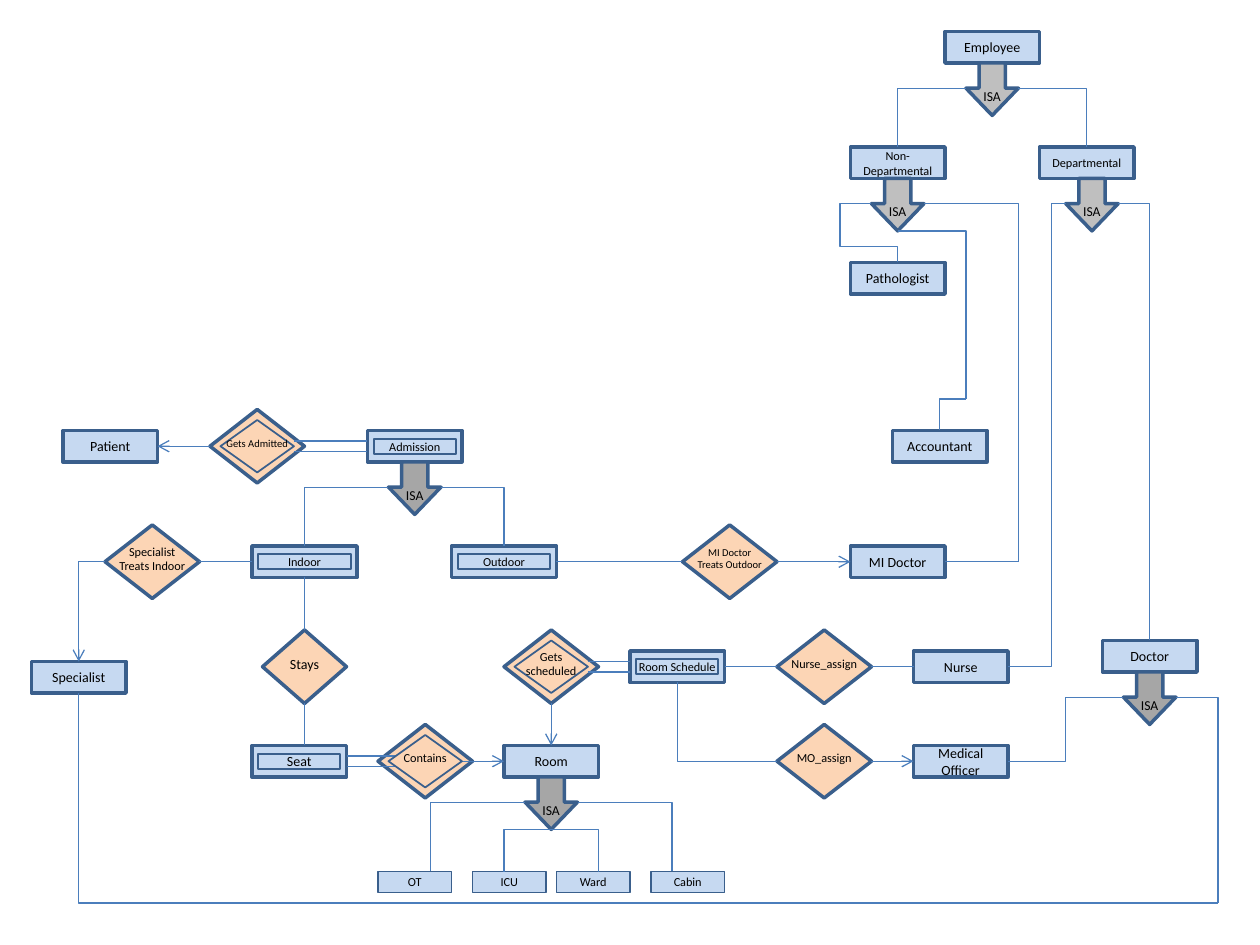
from dataclasses import dataclass

from lxml.etree import SubElement
from pptx import Presentation
from pptx.dml.color import RGBColor
from pptx.enum.shapes import MSO_CONNECTOR, MSO_SHAPE
from pptx.enum.text import MSO_ANCHOR, PP_ALIGN
from pptx.oxml.ns import qn
from pptx.util import Pt

COLORS = {
    "entity": "C6D9F1",
    "relation": "FCD5B5",
    "light_isa": "BFBFBF",
    "dark_isa": "A6A6A6",
    "outline": "3A5F8C",
    "link": "4B7EBC",
    "text": "000000",
}
FONT = "Calibri"
SHOULDER = 14.4


@dataclass(frozen=True)
class Entity:
    text: str
    left: float
    top: float
    width: float = 54
    height: float = 18
    size: float = 8
    double: bool = False
    border: float = 2
    side_inset: float = 7.2
    wrap: bool = True
    preset = MSO_SHAPE.RECTANGLE
    fill = "entity"
    inner_gap = (3.6, 4.7)
    top_inset = 3.6
    bottom_inset = 3.6


@dataclass(frozen=True)
class Relation:
    text: str
    left: float
    top: float
    width: float = 54
    height: float = 42
    size: float = 7
    double: bool = False
    border: float = 2
    side_inset: float = 7.2
    wrap: bool = False
    preset = MSO_SHAPE.DIAMOND
    fill = "relation"
    inner_gap = (6, 6)
    top_inset = 3.6
    bottom_inset = 7.2


@dataclass(frozen=True)
class Isa:
    left: float
    top: float
    fill: str = "dark_isa"


@dataclass(frozen=True)
class Link:
    start: tuple[float, float]
    end: tuple[float, float]
    arrow: bool = False
    preset: str = "line"
    bends: tuple[float, ...] = ()


def corner(start, end, arrow: bool = False) -> Link:
    return Link(start, end, arrow, "bentConnector2")


NODES = [
    Entity("Employee", 540, 18),
    Entity("Non-\nDepartmental", 486, 84, size=7, wrap=False),
    Entity("Departmental", 594, 84, size=7, side_inset=0),
    Entity("Pathologist", 486, 150),
    Entity("Accountant", 510, 246),
    Entity("Patient", 36, 246),
    Entity("Admission", 210, 246, size=7, double=True),
    Entity("Indoor", 144, 312, width=60, size=7, double=True),
    Entity("Outdoor", 258, 312, width=60, size=7, double=True),
    Entity("MI Doctor", 486, 312),
    Entity("Doctor", 630, 366),
    Entity("Specialist", 18, 378),
    Entity("Room Schedule", 360, 372, size=7, double=True, side_inset=0),
    Entity("Nurse", 522, 372),
    Entity("Seat", 144, 426, double=True),
    Entity("Room", 288, 426),
    Entity("Medical Officer", 522, 426),
    *(Entity(name, left, 498, 42, 12, size=7, border=1)
      for name, left in (("OT", 216), ("ICU", 270), ("Ward", 318), ("Cabin", 372))),
    Relation("Gets Admitted", 120, 234, size=6, double=True),
    Relation("Specialist\nTreats Indoor", 60, 300),
    Relation("MI Doctor\nTreats Outdoor", 390, 300, size=6),
    Relation("Stays", 150, 360, width=48, size=8),
    Relation("Gets\nscheduled", 288, 360, double=True),
    Relation("Nurse_assign", 444, 360),
    Relation("Contains", 216, 414, double=True),
    Relation("MO_assign", 444, 414),
]

ISAS = [
    Isa(552, 36, "light_isa"),
    Isa(498, 102, "light_isa"),
    Isa(609, 102, "light_isa"),
    Isa(222, 264),
    Isa(642, 384),
    Isa(300, 444),
]

LINKS = [
    corner((552, 36 + SHOULDER), (513, 84)),
    corner((582, 36 + SHOULDER), (621, 84)),
    Link((498, 102 + SHOULDER), (513, 150), False, "bentConnector4", (-1.2, 0.73)),
    corner((513, 132), (552, 228)),
    corner((552, 228), (537, 246)),
    corner((528, 102 + SHOULDER), (582, 321)),
    Link((582, 321), (540, 321)),
    Link((609, 102 + SHOULDER), (576, 381), False, "bentConnector3", (0.25,)),
    corner((639, 102 + SHOULDER), (657, 366)),
    Link((642, 384 + SHOULDER), (576, 435), False, "bentConnector3", (0.5,)),
    corner((672, 384 + SHOULDER), (696, 516)),
    corner((696, 516), (45, 396)),
    Link((120, 255), (90, 255), True),
    *(Link((168, y), (210, y)) for y in (252, 258)),
    corner((222, 264 + SHOULDER), (174, 312)),
    corner((252, 264 + SHOULDER), (288, 312)),
    Link((114, 321), (144, 321)),
    corner((60, 321), (45, 378), True),
    Link((318, 321), (390, 321)),
    Link((444, 321), (486, 321), True),
    Link((174, 330), (174, 360)),
    Link((174, 402), (174, 426)),
    *(Link((198, y), (228, y)) for y in (432, 438)),
    Link((264, 435), (288, 435), True),
    *(Link((336, y), (360, y)) for y in (378, 384)),
    Link((315, 402), (315, 426), True),
    Link((444, 381), (414, 381)),
    Link((498, 381), (522, 381)),
    corner((444, 435), (387, 390)),
    Link((498, 435), (522, 435), True),
    corner((300, 444 + SHOULDER), (246, 498)),
    corner((330, 444 + SHOULDER), (384, 498)),
    *(corner((315, 474), (x, 498)) for x in (288, 342)),
]


def color(name: str) -> RGBColor:
    return RGBColor.from_string(COLORS[name])


def add_box(page, preset, left, top, width, height, fill: str, border: float):
    box = page.shapes.add_shape(preset, Pt(left), Pt(top), Pt(width), Pt(height))
    box.shadow.inherit = False
    box.fill.solid()
    box.fill.fore_color.rgb = color(fill)
    box.line.color.rgb = color("outline")
    box.line.width = Pt(border)
    return box


def write(box, text: str, size: float, insets, wrap: bool, anchor=MSO_ANCHOR.MIDDLE) -> None:
    frame = box.text_frame
    frame.text = text
    frame.word_wrap = wrap
    frame.vertical_anchor = anchor
    frame.margin_left, frame.margin_top, frame.margin_right, frame.margin_bottom = map(Pt, insets)
    for para in frame.paragraphs:
        para.alignment = PP_ALIGN.CENTER
        for span in para.runs:
            span.font.name = FONT
            span.font.size = Pt(size)
            span.font.color.rgb = color("text")


def write_node(box, node: Entity | Relation) -> None:
    side = node.side_inset
    write(box, node.text, node.size, (side, node.top_inset, side, node.bottom_inset), node.wrap)


def draw_node(page, node: Entity | Relation) -> None:
    box = add_box(page, node.preset, node.left, node.top, node.width, node.height,
                  node.fill, node.border)
    if not node.double:
        write_node(box, node)


def draw_inner(page, node: Entity | Relation) -> None:
    across, down = node.inner_gap
    box = add_box(page, node.preset, node.left + across, node.top + down,
                  node.width - 2 * across, node.height - 2 * down, node.fill, 1)
    write_node(box, node)


def draw_isa(page, isa: Isa) -> None:
    box = add_box(page, MSO_SHAPE.DOWN_ARROW, isa.left, isa.top, 30, 30, isa.fill, 2)
    box.adjustments[0], box.adjustments[1] = 0.5, 0.52
    write(box, "ISA", 7.8, (0, 14, 0, 0), False, MSO_ANCHOR.TOP)


def draw_link(page, link: Link) -> None:
    line = page.shapes.add_connector(MSO_CONNECTOR.STRAIGHT, *map(Pt, link.start + link.end))
    line.line.color.rgb = color("link")
    line.line.width = Pt(0.75)
    properties = line._element.spPr
    geometry = properties.find(qn("a:prstGeom"))
    geometry.set("prst", link.preset)
    for number, bend in enumerate(link.bends, 1):
        SubElement(geometry.find(qn("a:avLst")), qn("a:gd"),
                   name=f"adj{number}", fmla=f"val {round(bend * 100000)}")
    if link.arrow:
        SubElement(properties.find(qn("a:ln")), qn("a:tailEnd"), type="arrow")
    SubElement(properties, qn("a:effectLst"))


def main() -> None:
    deck = Presentation()
    deck.slide_width, deck.slide_height = Pt(720), Pt(540)
    page = deck.slides.add_slide(deck.slide_layouts[6])
    for node in NODES:
        draw_node(page, node)
    for isa in ISAS:
        draw_isa(page, isa)
    for link in LINKS:
        draw_link(page, link)
    for node in NODES:
        if node.double:
            draw_inner(page, node)
    deck.save("out.pptx")


if __name__ == "__main__":
    main()
